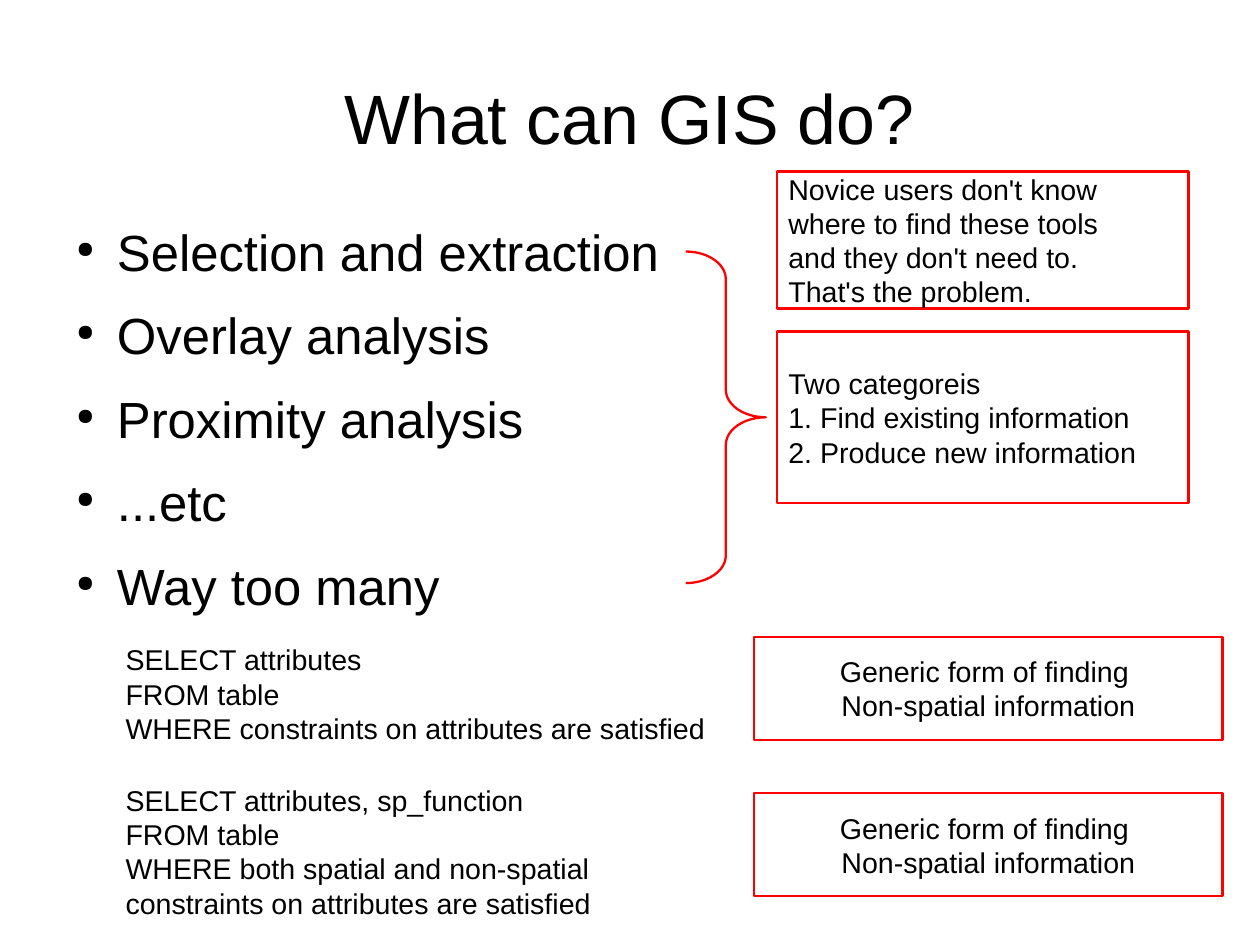
from lxml.etree import SubElement
from pptx import Presentation
from pptx.dml.color import RGBColor as Color
from pptx.enum.shapes import MSO_SHAPE as Shape
from pptx.enum.text import MSO_ANCHOR as Anchor, PP_ALIGN as Align
from pptx.oxml.ns import qn
from pptx.util import Cm, Pt

COLORS = {"text": "000000", "accent": "FF0000"}
INSETS = ("margin_left", "margin_top", "margin_right", "margin_bottom")


def assign(target, values):
    for name, value in values.items():
        setattr(target, name, value)


class SlideBuilder:
    font = "Arial"
    line_width = Pt(1.45)

    def __init__(self, page):
        self.page = page

    def fill_text(self, frame, lines, size=18, align=Align.LEFT, **frame_format):
        assign(frame, frame_format)
        for index, line in enumerate(lines):
            para = frame.paragraphs[0] if index == 0 else frame.add_paragraph()
            para.alignment = align
            span = para.add_run()
            span.text = line
            assign(span.font, {"name": self.font, "size": Pt(size)})
            span.font.color.rgb = Color.from_string(COLORS["text"])

    def text(self, place, lines, **style):
        box = self.page.shapes.add_textbox(*map(Cm, place))
        self.fill_text(box.text_frame, lines, **{"word_wrap": True, **style})
        return box.text_frame

    def bullets(self, place, lines, size, gap):
        frame = self.text(place, lines, size=size, **dict.fromkeys(INSETS, 0))
        for para in frame.paragraphs:
            para.space_after = Pt(gap)
            props = para._p.get_or_add_pPr()
            props.set("marL", str(Cm(1.2)))
            props.set("indent", str(Cm(-0.9)))
            color = SubElement(props, qn("a:buClr"))
            SubElement(color, qn("a:srgbClr"), val=COLORS["text"])
            SubElement(props, qn("a:buSzPct"), val="45000")
            SubElement(props, qn("a:buChar"), char="●")

    def outline(self, kind, place):
        shape = self.page.shapes.add_shape(kind, *map(Cm, place))
        shape.shadow.inherit = False
        shape.fill.background()
        shape.line.color.rgb = Color.from_string(COLORS["accent"])
        shape.line.width = self.line_width
        return shape

    def note(self, place, lines, align=Align.LEFT):
        box = self.outline(Shape.RECTANGLE, place)
        self.fill_text(box.text_frame, lines, align=align, word_wrap=False,
                       vertical_anchor=Anchor.MIDDLE)

    def brace(self, place, curve):
        self.outline(Shape.RIGHT_BRACE, place).adjustments[0] = curve


def main():
    deck = Presentation()
    assign(deck, {"slide_width": Cm(28), "slide_height": Cm(21)})
    slide = SlideBuilder(deck.slides.add_slide(deck.slide_layouts[6]))

    # Title and list of functions
    slide.text((1.4, 0.84, 25.2, 3.5), ["What can GIS do?"], size=44,
               align=Align.CENTER, vertical_anchor=Anchor.MIDDLE,
               **dict.fromkeys(INSETS, 0))
    slide.bullets((1.4, 4.9, 24.64, 12.17),
                  ["Selection and extraction", "Overlay analysis",
                   "Proximity analysis", "...etc", "Way too many"],
                  size=32, gap=14.2)

    # Brace and its remarks
    slide.brace((15.24, 5.59, 1.78, 7.37), curve=0.345)
    slide.note((17.27, 7.37, 9.14, 3.81),
               ["Two categoreis", "1. Find existing information",
                "2. Produce new information"])
    slide.note((17.27, 3.81, 9.14, 3.05),
               ["Novice users don't know", "where to find these tools",
                "and they don't need to.", "That's the problem."])

    # Query forms, each with its label
    queries = [
        (14.15, 14.15, ["SELECT attributes", "FROM table",
                        "WHERE constraints on attributes are satisfied"]),
        (17.27, 17.63, ["SELECT attributes, sp_function", "FROM table",
                        "WHERE both spatial and non-spatial "
                        "constraints on attributes are satisfied"]),
    ]
    for query_top, label_top, lines in queries:
        slide.text((2.54, query_top, 13.46, 2.39), lines)
        slide.note((16.76, label_top, 10.41, 2.29),
                   ["Generic form of finding ", "Non-spatial information"],
                   align=Align.CENTER)

    deck.save("out.pptx")


if __name__ == "__main__":
    main()
